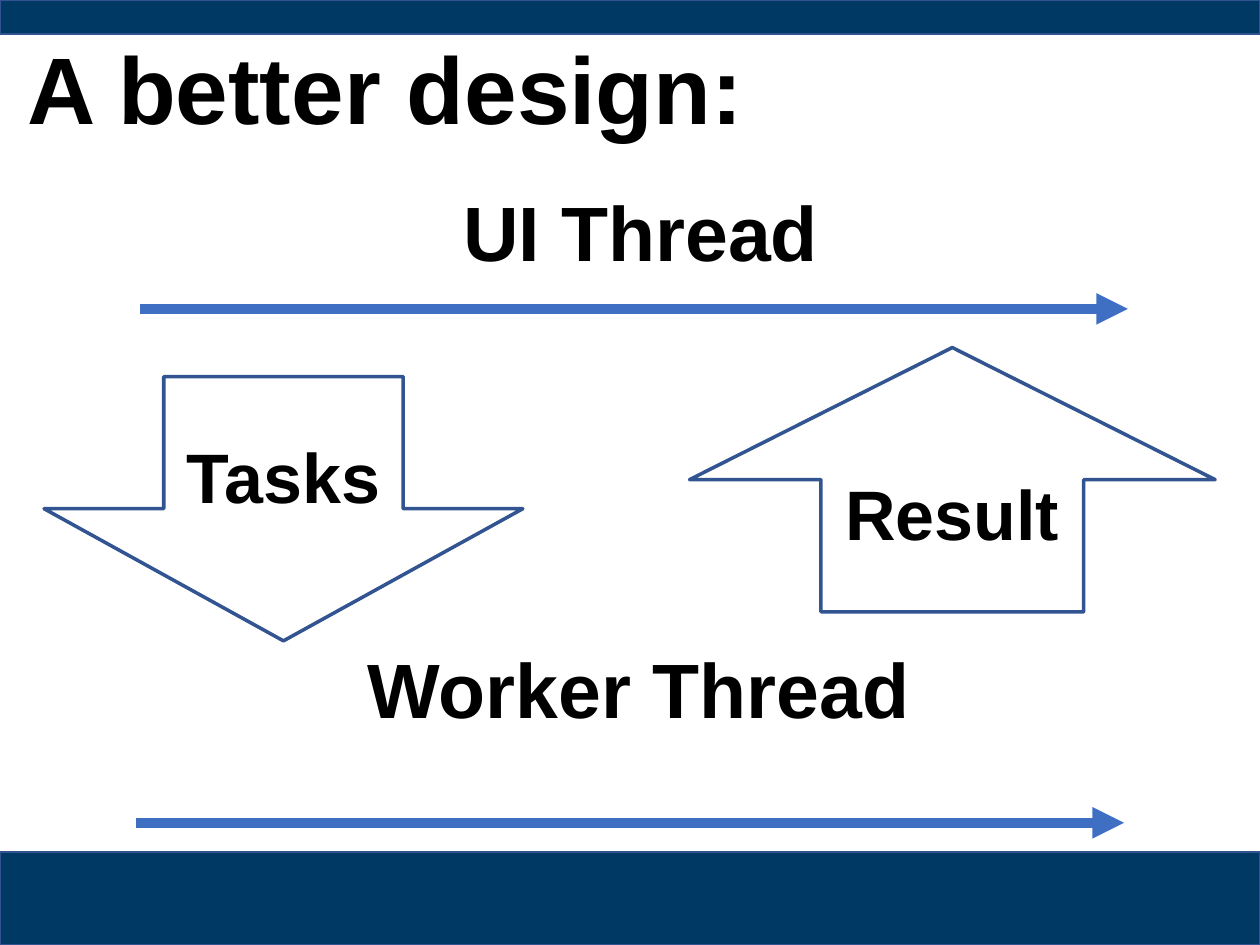
"""Build a slide showing tasks and results passing between a UI and a worker thread."""
from dataclasses import dataclass

from lxml import etree
from pptx import Presentation
from pptx.dml.color import RGBColor
from pptx.enum.shapes import MSO_CONNECTOR, MSO_SHAPE
from pptx.enum.text import MSO_ANCHOR, MSO_AUTO_SIZE, PP_ALIGN
from pptx.oxml.ns import qn
from pptx.shapes.autoshape import Shape
from pptx.slide import Slide
from pptx.text.text import TextFrame
from pptx.util import Pt

RECTANGLE = MSO_SHAPE.RECTANGLE
DOWN_ARROW = MSO_SHAPE.DOWN_ARROW
UP_ARROW = MSO_SHAPE.UP_ARROW
STRAIGHT = MSO_CONNECTOR.STRAIGHT
MIDDLE = MSO_ANCHOR.MIDDLE
CENTER = PP_ALIGN.CENTER
FIT_SHAPE = MSO_AUTO_SIZE.SHAPE_TO_FIT_TEXT
BLANK_LAYOUT = 6


@dataclass(frozen=True)
class Theme:
    font: str = "Arial"
    text: RGBColor = RGBColor(0x00, 0x00, 0x00)
    paper: RGBColor = RGBColor(0xFF, 0xFF, 0xFF)
    band: RGBColor = RGBColor(0x00, 0x3A, 0x64)
    band_edge: RGBColor = RGBColor(0x31, 0x53, 0x8F)
    block_edge: RGBColor = RGBColor(0x32, 0x54, 0x91)
    timeline: RGBColor = RGBColor(0x3F, 0x6F, 0xC3)
    title_size: float = 54
    thread_size: float = 44
    message_size: float = 40
    band_line: float = 1
    block_line: float = 2
    timeline_line: float = 6


@dataclass(frozen=True)
class Box:
    left: float
    top: float
    width: float
    height: float


@dataclass(frozen=True)
class Thread:
    label: str
    label_box: Box
    start: float
    level: float


@dataclass(frozen=True)
class Message:
    label: str
    box: Box
    direction: MSO_SHAPE


THEME = Theme()
SLIDE_WIDTH, SLIDE_HEIGHT = 720, 540
TIMELINE_LENGTH = 564.5
TOP_BAND, BOTTOM_BAND = 19.5, 53.3
BANDS = (
    Box(0, SLIDE_HEIGHT - BOTTOM_BAND, SLIDE_WIDTH, BOTTOM_BAND),
    Box(0, 0, SLIDE_WIDTH, TOP_BAND),
)
THREADS = (
    Thread("UI Thread", Box(257.6, 102.2, 219.6, 60.6), 80, 176.5),
    Thread("Worker Thread", Box(203, 362.9, 328.3, 60.6), 77.8, 470.2),
)
MESSAGES = (
    Message("Tasks", Box(25.2, 215.2, 273.6, 151), DOWN_ARROW),
    Message("Result", Box(394, 198.6, 300.4, 151), UP_ARROW),
)
TITLE_BOX = Box(8.6, 13.7, 430, 72.7)


def write(frame: TextFrame, words: str, size: float) -> None:
    """Fill a frame with one bold line in the theme font."""
    frame.text = words
    font = frame.paragraphs[0].runs[0].font
    font.name, font.size, font.bold = THEME.font, Pt(size), True
    font.color.rgb = THEME.text


def draw_block(slide: Slide, kind: MSO_SHAPE, box: Box, fill: RGBColor,
               edge: RGBColor, weight: float) -> Shape:
    """Draw a filled and outlined preset shape."""
    block = slide.shapes.add_shape(
        kind, Pt(box.left), Pt(box.top), Pt(box.width), Pt(box.height))
    block.shadow.inherit = False
    block.fill.solid()
    block.fill.fore_color.rgb = fill
    block.line.color.rgb = edge
    block.line.width = Pt(weight)
    return block


def draw_heading(slide: Slide, words: str, box: Box, size: float) -> None:
    """Draw an unwrapped line of text that sizes its own box."""
    heading = slide.shapes.add_textbox(
        Pt(box.left), Pt(box.top), Pt(box.width), Pt(box.height))
    heading.text_frame.word_wrap = False
    heading.text_frame.auto_size = FIT_SHAPE
    write(heading.text_frame, words, size)


def draw_timeline(slide: Slide, thread: Thread) -> None:
    """Draw a thread's timeline as an arrow pointing right."""
    timeline = slide.shapes.add_connector(
        STRAIGHT, Pt(thread.start), Pt(thread.level),
        Pt(thread.start + TIMELINE_LENGTH), Pt(thread.level))
    timeline.line.color.rgb = THEME.timeline
    timeline.line.width = Pt(THEME.timeline_line)
    properties = timeline.element.spPr
    etree.SubElement(properties.find(qn("a:ln")), qn("a:tailEnd"), type="triangle")
    etree.SubElement(properties, qn("a:effectLst"))


def draw_message(slide: Slide, message: Message) -> None:
    """Draw a labelled block arrow between the threads."""
    block = draw_block(slide, message.direction, message.box, THEME.paper,
                       THEME.block_edge, THEME.block_line)
    write(block.text_frame, message.label, THEME.message_size)
    block.text_frame.vertical_anchor = MIDDLE
    block.text_frame.paragraphs[0].alignment = CENTER


def main() -> None:
    """Assemble and save the slide."""
    deck = Presentation()
    deck.slide_width, deck.slide_height = Pt(SLIDE_WIDTH), Pt(SLIDE_HEIGHT)
    slide = deck.slides.add_slide(deck.slide_layouts[BLANK_LAYOUT])
    for band in BANDS:
        draw_block(slide, RECTANGLE, band, THEME.band, THEME.band_edge, THEME.band_line)
    for thread in THREADS:
        draw_timeline(slide, thread)
    for thread in THREADS:
        draw_heading(slide, thread.label, thread.label_box, THEME.thread_size)
    for message in MESSAGES:
        draw_message(slide, message)
    draw_heading(slide, "A better design:", TITLE_BOX, THEME.title_size)
    deck.save("out.pptx")


if __name__ == "__main__":
    main()
